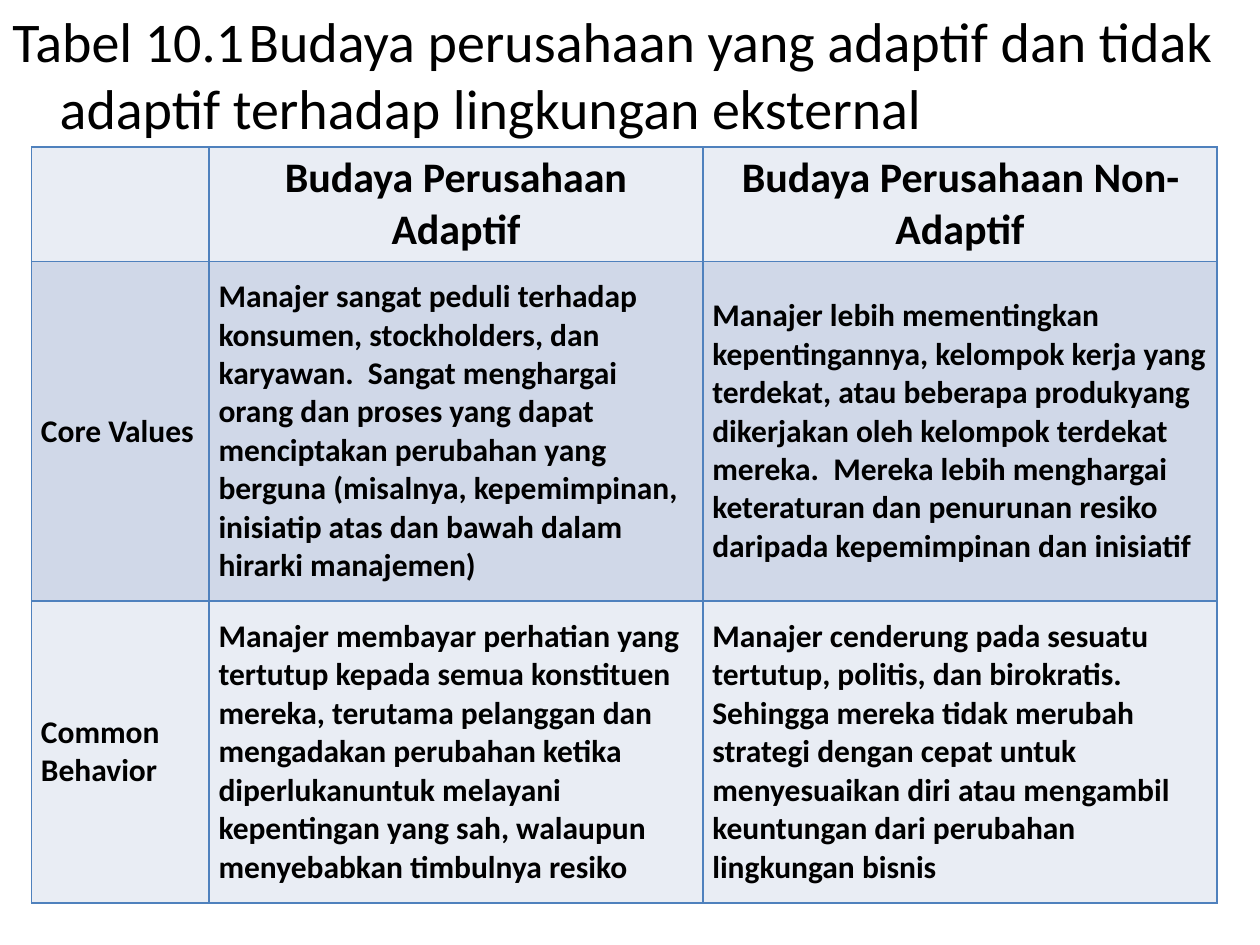
from lxml import etree
from pptx import Presentation
from pptx.dml.color import RGBColor
from pptx.enum.text import MSO_ANCHOR, PP_ALIGN
from pptx.oxml.ns import qn
from pptx.util import Pt

MID = MSO_ANCHOR.MIDDLE
LEFT, CENTER, JUST = PP_ALIGN.LEFT, PP_ALIGN.CENTER, PP_ALIGN.JUSTIFY
FONT = "Calibri"
COLORS = {"text": "000000", "light": "E9EDF4", "dark": "D0D8E8", "line": "4F81BD"}

TITLE = ("Tabel 10.1\tBudaya perusahaan yang adaptif dan tidak adaptif "
         "terhadap lingkungan eksternal")
COLS = [101.5, 282.2, 293.8]
ROWS = [65.5, 194, 172.5]
CELLS = [
    ["", "Budaya Perusahaan Adaptif", "Budaya Perusahaan Non-Adaptif"],
    ["Core Values",
     "Manajer sangat peduli terhadap konsumen, stockholders, dan karyawan.  "
     "Sangat menghargai orang dan proses yang dapat menciptakan perubahan yang "
     "berguna (misalnya, kepemimpinan, inisiatip atas dan bawah dalam hirarki "
     "manajemen)",
     "Manajer lebih mementingkan kepentingannya, kelompok kerja yang terdekat, "
     "atau beberapa produkyang dikerjakan oleh kelompok terdekat mereka.  Mereka "
     "lebih menghargai keteraturan dan penurunan resiko daripada kepemimpinan "
     "dan inisiatif"],
    ["Common Behavior",
     "Manajer membayar perhatian yang tertutup kepada semua konstituen mereka, "
     "terutama pelanggan dan mengadakan perubahan ketika diperlukanuntuk melayani "
     "kepentingan yang sah, walaupun menyebabkan timbulnya resiko",
     "Manajer cenderung pada sesuatu tertutup, politis, dan birokratis.  Sehingga "
     "mereka tidak merubah strategi dengan cepat untuk menyesuaikan diri atau "
     "mengambil keuntungan dari perubahan lingkungan bisnis"],
]


def color(name):
    return RGBColor.from_string(COLORS[name])


def style(para, size, bold=False):
    for run in para.runs:
        font = run.font
        font.name, font.size, font.bold = FONT, Pt(size), bold
        font.color.rgb = color("text")


def border(cell):
    props = cell._tc.get_or_add_tcPr()
    # Border lines come before the fill
    for at, side in enumerate(("lnL", "lnR", "lnT", "lnB")):
        line = etree.Element(qn("a:" + side), w=str(Pt(1)))
        fill = etree.SubElement(line, qn("a:solidFill"))
        etree.SubElement(fill, qn("a:srgbClr"), val=COLORS["line"])
        props.insert(at, line)


def add_title(slide, left, top, width, height):
    frame = slide.shapes.add_textbox(Pt(left), Pt(top), Pt(width), Pt(height)).text_frame
    frame.word_wrap = True
    frame.text = TITLE
    para = frame.paragraphs[0]
    style(para, 32)
    # Hanging indent
    props = para._p.get_or_add_pPr()
    props.set("marL", str(Pt(27)))
    props.set("indent", str(Pt(-27)))


def fill_cell(cell, text, row, col):
    cell.fill.solid()
    cell.fill.fore_color.rgb = color("dark" if row == 1 else "light")
    border(cell)
    cell.vertical_anchor = MID
    cell.margin_left = cell.margin_right = Pt(5.4)
    cell.margin_top = cell.margin_bottom = 0
    if not text:
        return
    cell.text_frame.text = text
    para = cell.text_frame.paragraphs[0]
    para.space_before = para.space_after = Pt(6)
    para.alignment = CENTER if row == 0 else JUST if (row, col) == (1, 0) else LEFT
    style(para, 24 if row == 0 else 18, True)


def add_grid(slide, left, top):
    table = slide.shapes.add_table(len(ROWS), len(COLS), Pt(left), Pt(top),
                                   Pt(sum(COLS)), Pt(sum(ROWS))).table
    for col, width in enumerate(COLS):
        table.columns[col].width = Pt(width)
    for row, height in enumerate(ROWS):
        table.rows[row].height = Pt(height)
        for col, text in enumerate(CELLS[row]):
            fill_cell(table.cell(row, col), text, row, col)


deck = Presentation()
deck.slide_width, deck.slide_height = Pt(720), Pt(540)
slide = deck.slides.add_slide(deck.slide_layouts[6])
add_title(slide, 0, 0, 702, 540)
add_grid(slide, 18, 84)
deck.save("out.pptx")
